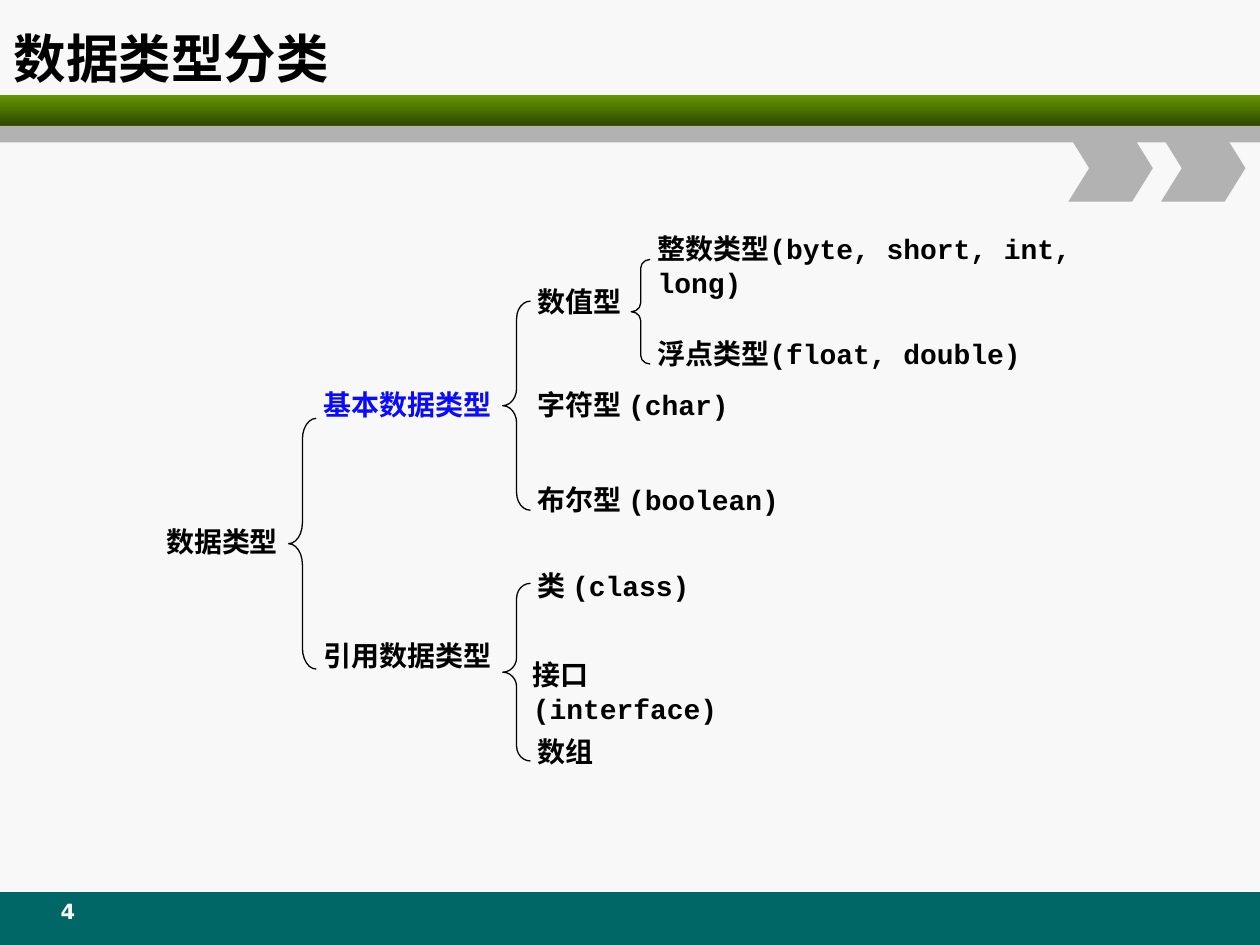
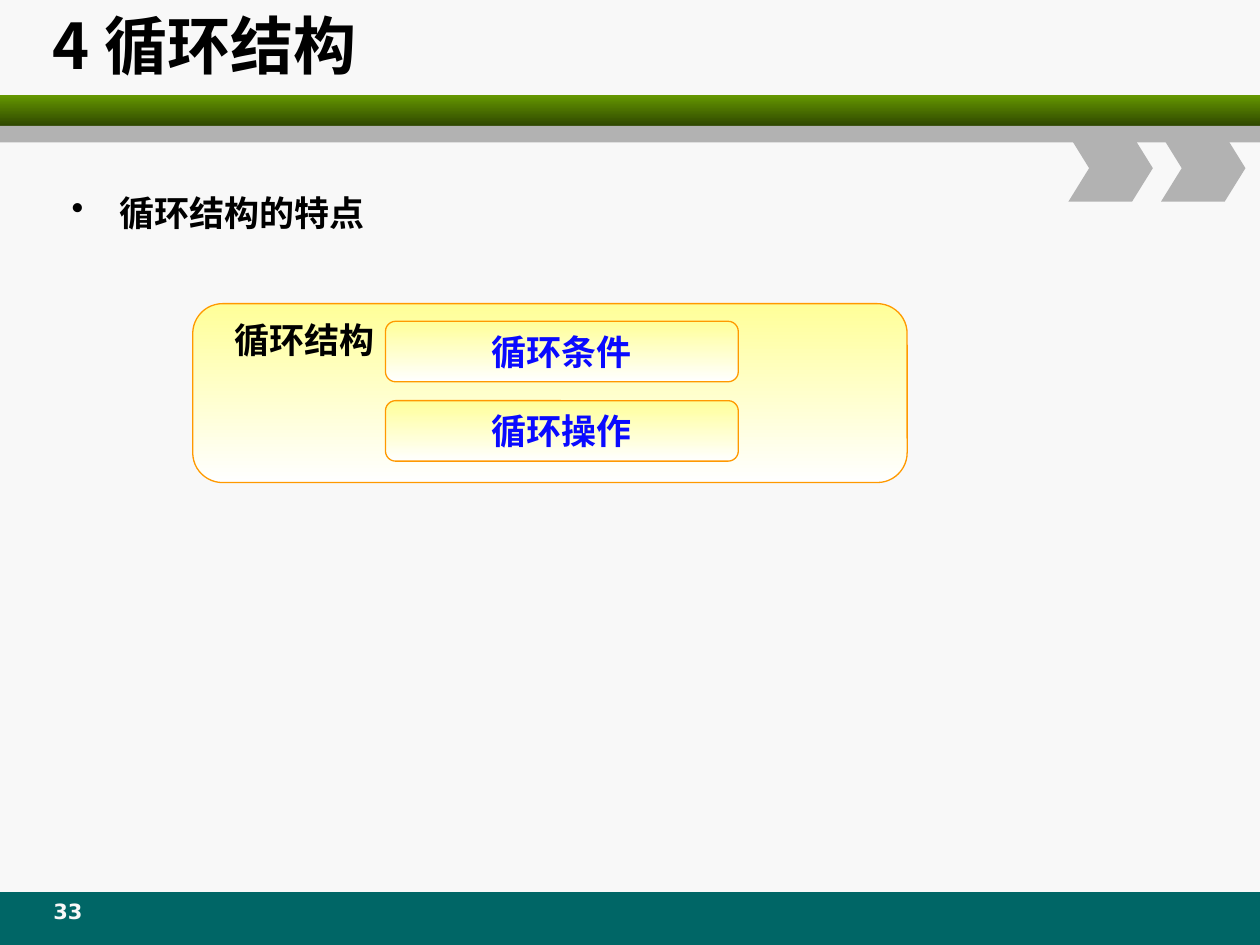
from pptx import Presentation, util as u
from pptx.dml.color import RGBColor
from pptx.enum import shapes, text
from lxml import etree

W, H = 10, 7.5
A = "{http://schemas.openxmlformats.org/drawingml/2006/main}"
MS, AL, AN = shapes.MSO_SHAPE, text.PP_ALIGN, text.MSO_ANCHOR
INK, BLUE, PAPER = "000000", "0A0AFF", "F8F8F8"
TEAL, GREY, ORANGE = "006666", "B2B2B2", "FF9900"
GREEN, YELLOW = ("669900", "2F4700"), ("FFFF99", "FFFFFF")
CJK, CODE = "Noto Sans CJK SC", "Courier New"
rgb = RGBColor.from_string


def write(sp, words, size, font=CJK, color=INK, align=AL.LEFT,
          anchor=AN.TOP, ins=(0.1, 0.05, 0.1, 0.05)):
    """Put one bold line of text in a shape and return its paragraph."""
    tf = sp.text_frame
    frame = {"word_wrap": True, "auto_size": text.MSO_AUTO_SIZE.NONE,
             "vertical_anchor": anchor}
    sides = ("margin_left", "margin_top", "margin_right", "margin_bottom")
    frame.update((side, u.Inches(v)) for side, v in zip(sides, ins))
    for key, value in frame.items():
        setattr(tf, key, value)
    p = tf.paragraphs[0]
    p.alignment = align
    r = p.add_run()
    r.text = words
    for key, value in {"size": u.Pt(size), "bold": True, "name": font}.items():
        setattr(r.font, key, value)
    r.font.color.rgb = rgb(color)
    etree.SubElement(r._r.get_or_add_rPr(), A + "ea", typeface=CJK)
    return p


def shape(s, kind, box, fill=None, line=None, adj=()):
    """Add a preset shape; a pair of fill colours is a top-down gradient."""
    sp = s.shapes.add_shape(kind, *map(u.Inches, box))
    sp.shadow.inherit = False
    for i, value in enumerate(adj):
        sp.adjustments[i] = value
    if isinstance(fill, tuple):
        sp.fill.gradient()
        sp.fill.gradient_angle = 270
        for stop, color, at in zip(sp.fill.gradient_stops, fill, (0, 1)):
            stop.color.rgb, stop.position = rgb(color), at
    elif fill:
        sp.fill.solid()
        sp.fill.fore_color.rgb = rgb(fill)
    else:
        sp.fill.background()
    if line:
        sp.line.color.rgb, sp.line.width = rgb(line), u.Pt(0.75)
    else:
        sp.line.fill.background()
    return sp


prs = Presentation()
prs.slide_width, prs.slide_height = u.Inches(W), u.Inches(H)
paper = prs.slide_master.background.fill
paper.solid()
paper.fore_color.rgb = rgb(PAPER)

# Shared frame: footer, bands, chevrons, title and number
pages = [
    ("数据类型分类", (0, 0.16, 8.79, 0.61), 30, CODE, 0.11, "4"),
    ("4 循环结构", (0.17, 0, 9, 0.7), 36, CJK, 0.25, "33"),
]
slides = []
for title, box, size, font, left, number in pages:
    s = prs.slides.add_slide(prs.slide_layouts[5])
    slides.append(s)
    for top, height, fill in ((7.08, 0.42, TEAL), (0.75, 0.25, GREEN), (1, 0.13, GREY)):
        shape(s, MS.RECTANGLE, (0, top, W, height), fill)
    for i in range(2):
        shape(s, MS.CHEVRON, (8.48 + 0.735 * i, 1.07, 0.67, 0.53), GREY, adj=[0.31])
    sp = s.shapes.title
    sp.left, sp.top, sp.width, sp.height = map(u.Inches, box)
    write(sp, title, size, font, ins=(left, 0.05, 0.1, 0.05))
    sp = s.shapes.add_textbox(*map(u.Inches, (0.25, 7.08, 0.58, 0.33)))
    write(sp, number, 12, "DejaVu Sans", PAPER, AL.CENTER)

# Slide 1: tree of data types, one column per level
s = slides[0]
cols = (1.26, 2.51, 4.21, 5.16)
labels = [  # level, top, width, words
    (0, 4.13, 1.55, "数据类型"),
    (1, 3.05, 1.55, "基本数据类型"),
    (1, 5.04, 1.55, "引用数据类型"),
    (2, 2.23, 0.88, "数值型"),
    (2, 3.05, 1.76, "字符型 (char)"),
    (2, 3.8, 2.51, "布尔型 (boolean)"),
    (2, 4.48, 1.47, "类 (class)"),
    (2, 5.19, 1.76, "接口(interface)"),
    (2, 5.8, 1.76, "数组"),
    (3, 1.81, 3.51, "整数类型(byte, short, int, long)"),
    (3, 2.64, 3.16, "浮点类型(float, double)"),
]
for level, top, width, words in labels:
    wraps = "interface" in words
    left = cols[level] - (0.04 if wraps else 0)
    sp = s.shapes.add_textbox(*map(u.Inches, (left, top, width, 0.59 if wraps else 0.33)))
    write(sp, words, 16, CODE, BLUE if words == "基本数据类型" else INK,
          ins=(0.06, 0.03, 0.06, 0.03))

# Braces end where the next level starts
for level, width, top, height in ((1, 0.22, 3.32, 1.99), (2, 0.22, 2.39, 1.66),
                                  (3, 0.15, 2.06, 0.83), (2, 0.22, 4.63, 1.41)):
    shape(s, MS.LEFT_BRACE, (cols[level] - width, top, width, height),
          line=INK, adj=[height / width / 12, 0.5])

# Slide 2: bullet
s = slides[1]
sp = s.shapes.add_textbox(*map(u.Inches, (0.47, 1.47, 7.24, 0.43)))
p = write(sp, "循环结构的特点", 20)
pPr = p._p.get_or_add_pPr()
pPr.set("marL", str(u.Inches(0.38)))
pPr.set("indent", str(-u.Inches(0.38)))
etree.SubElement(etree.SubElement(pPr, A + "buClr"), A + "srgbClr", val=INK)
etree.SubElement(pPr, A + "buChar", char="•")

# Loop panel with its two parts
panel = shape(s, MS.ROUNDED_RECTANGLE, (1.53, 2.41, 5.67, 1.42), YELLOW, ORANGE, [0.167])
write(panel, "循环结构", 20, ins=(0.26, 0.05, 0.1, 0.05))
for i, words in enumerate(("循环条件", "循环操作")):
    sp = shape(s, MS.ROUNDED_RECTANGLE, (3.06, 2.55 + 0.63 * i, 2.8, 0.48),
               YELLOW, ORANGE, [0.167])
    write(sp, words, 20, color=BLUE, align=AL.CENTER, anchor=AN.MIDDLE)

prs.save("out.pptx")
